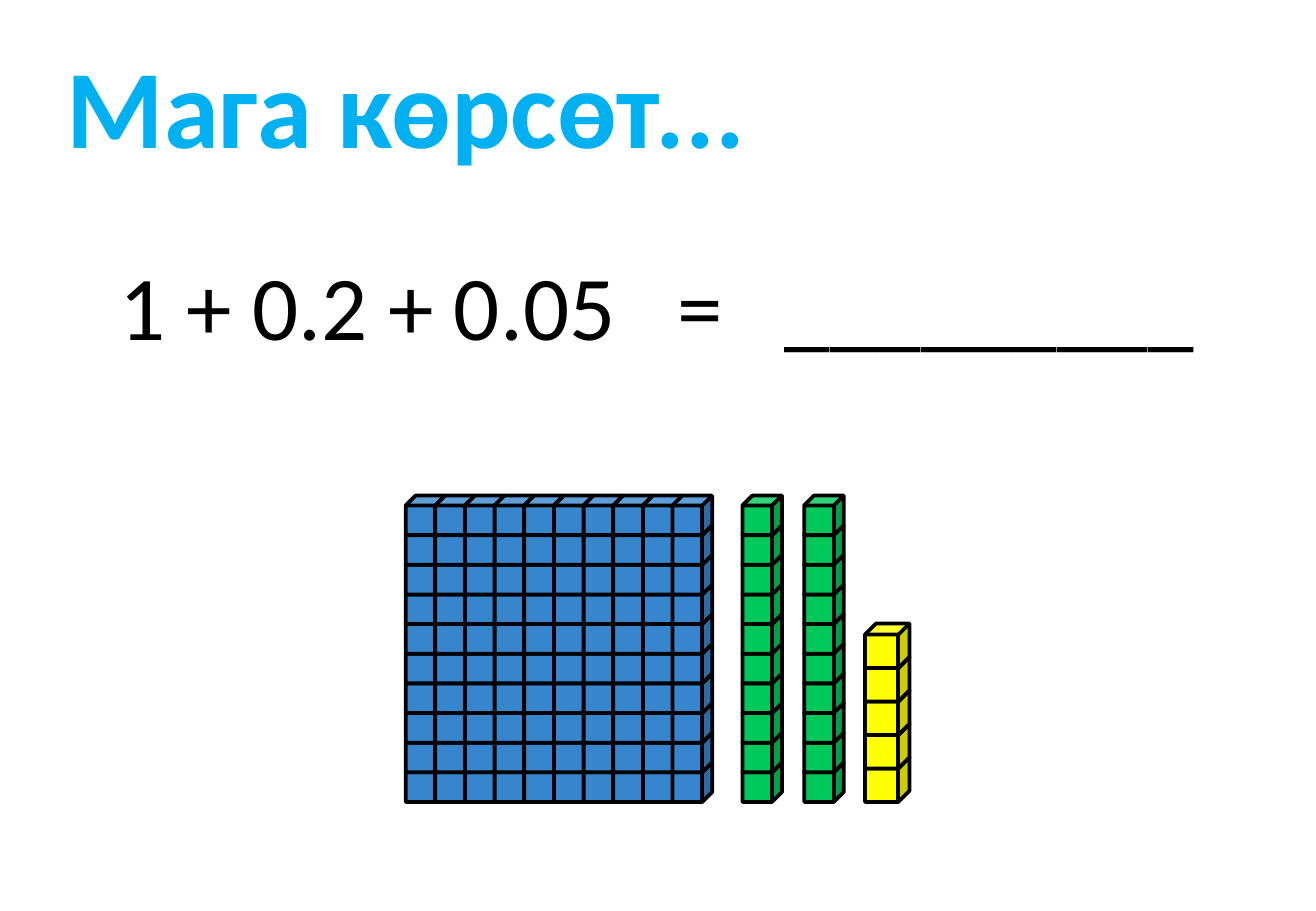
from pptx import Presentation
from pptx.dml.color import RGBColor
from pptx.enum.shapes import MSO_SHAPE
from pptx.enum.text import MSO_ANCHOR, MSO_AUTO_SIZE, PP_ALIGN
from pptx.oxml.ns import qn
from pptx.util import Cm, Pt
from lxml import etree

CUBE = MSO_SHAPE.CUBE
TOP = MSO_ANCHOR.TOP
GROW = MSO_AUTO_SIZE.SHAPE_TO_FIT_TEXT
LEFT = PP_ALIGN.LEFT

BLACK = RGBColor(0x00, 0x00, 0x00)
SKY = RGBColor(0x00, 0xB0, 0xF0)
BLUE = RGBColor(0x37, 0x86, 0xCD)
GREEN = RGBColor(0x00, 0xC8, 0x5A)
YELLOW = RGBColor(0xFF, 0xFF, 0x00)

FONT = "Calibri"
TITLE_ONLY = 5
CUBE_FRONT = 0.75


def style_text(box, text, size, color, bold, tabs=()):
    """Fill a box with one left-aligned paragraph, with tab stops in cm."""
    frame = box.text_frame
    frame.word_wrap = True
    frame.auto_size = GROW
    frame.vertical_anchor = TOP
    para = frame.paragraphs[0]
    para.text = text
    para.alignment = LEFT
    if tabs:
        stops = etree.SubElement(para._p.get_or_add_pPr(), qn("a:tabLst"))
        for position in tabs:
            etree.SubElement(stops, qn("a:tab"), pos=str(Cm(position)), algn="l")
    para.font.name = FONT
    para.font.size = Pt(size)
    para.font.bold = bold
    para.font.color.rgb = color


def add_heading(slide, left, top, width, height):
    """Place the heading in the title placeholder."""
    title = slide.shapes.title
    title.left, title.top = Cm(left), Cm(top)
    title.width, title.height = Cm(width), Cm(height)
    style_text(title, "Мага көрсөт...", 66, SKY, True)


def add_equation(slide, left, top, width, height):
    """Place the sum, the equals sign and the answer blank on tab stops."""
    box = slide.shapes.add_textbox(Cm(left), Cm(top), Cm(width), Cm(height))
    style_text(box, "1 + 0.2 + 0.05\t=\t_________", 54, BLACK, False, (11.67, 13.91))


def add_block(slide, left, bottom, columns, rows, pitch, color):
    """Stack overlapping cubes from the bottom up, column by column."""
    size = pitch / CUBE_FRONT
    group = slide.shapes.add_group_shape()
    for column in range(columns):
        for row in range(rows):
            x = left + column * pitch
            y = bottom - size - row * pitch
            cube = group.shapes.add_shape(CUBE, Cm(x), Cm(y), Cm(size), Cm(size))
            cube.shadow.inherit = False
            cube.fill.solid()
            cube.fill.fore_color.rgb = color
            cube.line.color.rgb = BLACK
            cube.line.width = Pt(2.25)


def add_base_ten_blocks(slide, left, bottom):
    """Show one whole, two tenths and five hundredths on a common base."""
    blocks = [
        (7.04, 1, 10, 0.62, GREEN),
        (8.33, 1, 10, 0.62, GREEN),
        (0, 10, 10, 0.62, BLUE),
        (9.6, 1, 5, 0.7, YELLOW),
    ]
    for offset, columns, rows, pitch, color in blocks:
        add_block(slide, left + offset, bottom, columns, rows, pitch, color)


def main():
    """Build the slide and save the deck."""
    deck = Presentation()
    deck.slide_width, deck.slide_height = Cm(27.51), Cm(19.05)
    slide = deck.slides.add_slide(deck.slide_layouts[TITLE_ONLY])
    add_heading(slide, 1.14, 0.66, 18.6, 3.07)
    add_equation(slide, 2.25, 5.1, 23.6, 2.57)
    add_base_ten_blocks(slide, 8.48, 16.77)
    deck.save("out.pptx")


if __name__ == "__main__":
    main()
